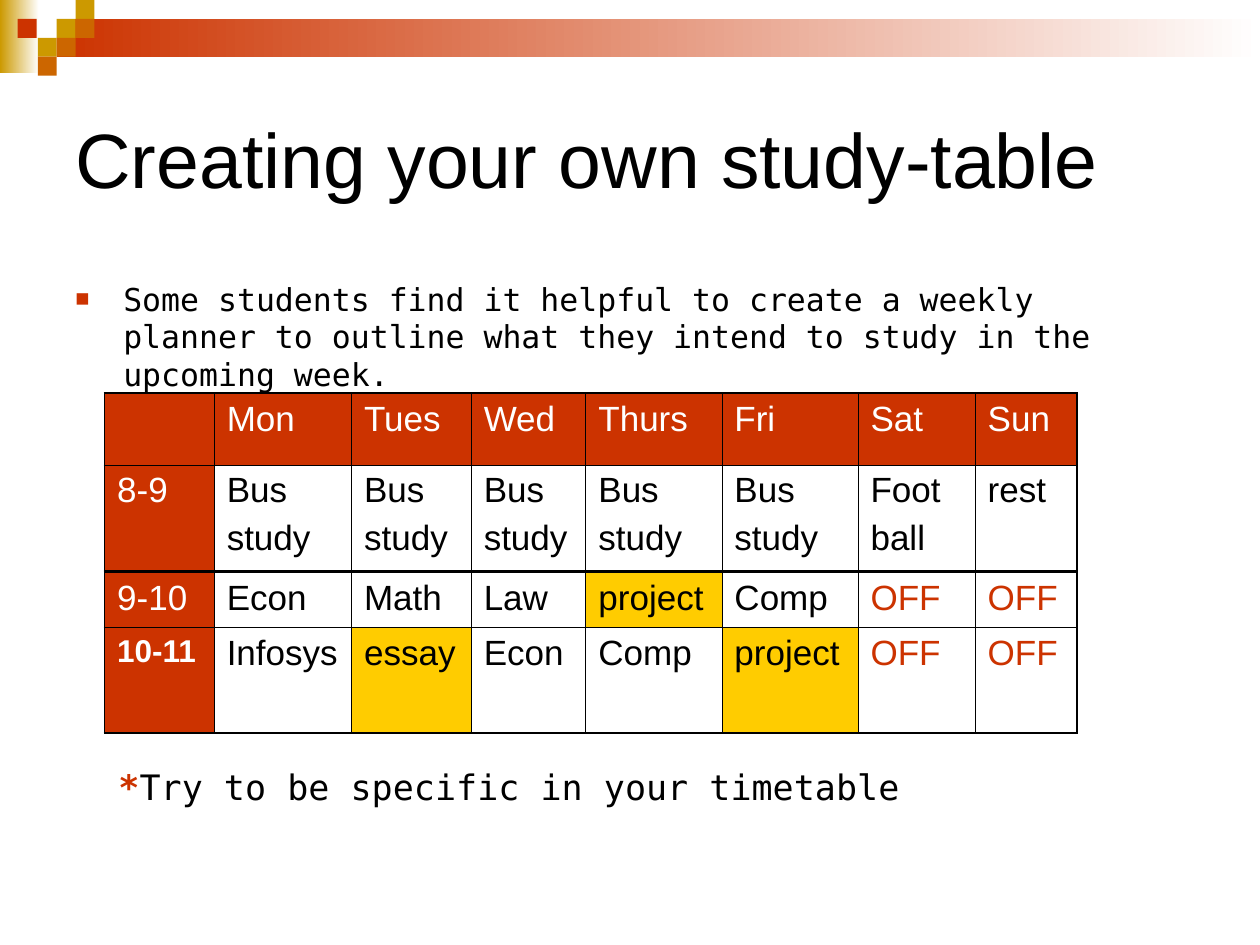
"""Build the slide on creating a weekly study table."""
from lxml import etree
from pptx import Presentation
from pptx import util as u
from pptx.dml.color import RGBColor
from pptx.enum import shapes, text
from pptx.oxml import ns

COLORS = {
    "red": "CC3300", "gold": "CC9900", "orange": "CC6600",
    "yellow": "FFCC00", "black": "000000", "white": "FFFFFF",
}
SANS, MONO = "Arial", "DejaVu Sans Mono"
SQUARE = 0.15
SQUARES = [
    (0.45, 0.15, "gold"), (0.6, 0, "gold"), (0.6, 0.15, "orange"),
    (0.3, 0.3, "gold"), (0.14, 0.15, "red"), (0.45, 0.3, "orange"),
    (0.3, 0.45, "orange"),
]
COLUMNS = [0.87, 1.09, 0.95, 0.91, 1.08, 1.08, 0.93, 0.81]
MORNING = [
    ["", "Mon", "Tues", "Wed", "Thurs", "Fri", "Sat", "Sun"],
    ["8-9"] + ["Bus\nstudy"] * 5 + ["Foot\nball", "rest"],
]
LATER = [
    ["9-10", "Econ", "Math", "Law", "project", "Comp", "OFF", "OFF"],
    ["10-11", "Infosys", "essay", "Econ", "Comp", "project", "OFF", "OFF"],
]
DEADLINES = {"project", "essay"}


def rgb(name):
    return RGBColor.from_string(COLORS[name])


def add_run(p, words, size, font, color="black", bold=False):
    r = p.add_run()
    r.text = words
    r.font.size = u.Pt(size)
    r.font.name = font
    r.font.bold = bold
    r.font.color.rgb = rgb(color)


def add_rect(s, left, top, width, height, color, fade=False):
    sp = s.shapes.add_shape(
        shapes.MSO_SHAPE.RECTANGLE, u.Inches(left), u.Inches(top),
        u.Inches(width), u.Inches(height))
    sp.shadow.inherit = False
    sp.line.fill.background()
    if fade:
        sp.fill.gradient()
        sp.fill.gradient_angle = 0
        for stop, name in zip(sp.fill.gradient_stops, (color, "white")):
            stop.color.rgb = rgb(name)
    else:
        sp.fill.solid()
        sp.fill.fore_color.rgb = rgb(color)


def add_text(s, left, top, width, height, anchor=text.MSO_ANCHOR.TOP):
    sp = s.shapes.add_textbox(
        u.Inches(left), u.Inches(top), u.Inches(width), u.Inches(height))
    tf = sp.text_frame
    tf.word_wrap = True
    tf.vertical_anchor = anchor
    return tf


def add_bullet(p, char, color, percent, indent):
    pPr = p._p.get_or_add_pPr()
    pPr.set("marL", str(u.Inches(indent)))
    pPr.set("indent", str(-u.Inches(indent)))
    clr = etree.SubElement(pPr, ns.qn("a:buClr"))
    etree.SubElement(clr, ns.qn("a:srgbClr"), val=COLORS[color])
    etree.SubElement(pPr, ns.qn("a:buSzPct"), val=str(percent * 1000))
    etree.SubElement(pPr, ns.qn("a:buFont"), typeface=SANS)
    etree.SubElement(pPr, ns.qn("a:buChar"), char=char)


def set_borders(cell, outer):
    tcPr = cell._tc.get_or_add_tcPr()
    for i, side in enumerate("LRTB"):
        width = u.Pt(1.08 if side in outer else 0.45)
        ln = etree.Element(ns.qn(f"a:ln{side}"), w=str(width))
        fill = etree.SubElement(ln, ns.qn("a:solidFill"))
        etree.SubElement(fill, ns.qn("a:srgbClr"), val=COLORS["black"])
        tcPr.insert(i, ln)


def fill_cell(cell, words, heading):
    cell.fill.solid()
    fill = "red" if heading else "yellow" if words in DEADLINES else "white"
    cell.fill.fore_color.rgb = rgb(fill)
    color = "white" if heading else "red" if words == "OFF" else "black"
    bold = words == "10-11"
    tf = cell.text_frame
    for i, line in enumerate(words.split("\n") if words else []):
        p = tf.add_paragraph() if i else tf.paragraphs[0]
        if i:
            p.space_before = u.Pt(5)
        add_run(p, line, 18 if bold else 20, SANS, color, bold)


def add_timetable(s, top, heights, rows, header):
    last_row, last_col = len(rows) - 1, len(COLUMNS) - 1
    table = s.shapes.add_table(
        len(rows), len(COLUMNS), u.Inches(0.83), u.Inches(top),
        u.Inches(sum(COLUMNS)), u.Inches(sum(heights))).table
    table.first_row = header
    table.horz_banding = False
    for column, width in zip(table.columns, COLUMNS):
        column.width = u.Inches(width)
    for i, row in enumerate(rows):
        table.rows[i].height = u.Inches(heights[i])
        for j, words in enumerate(row):
            cell = table.cell(i, j)
            fill_cell(cell, words, j == 0 or (header and i == 0))
            edges = {"L": j == 0, "R": j == last_col,
                     "T": i == 0, "B": i == last_row}
            set_borders(cell, {side for side in edges if edges[side]})


def main():
    prs = Presentation()
    prs.slide_width, prs.slide_height = u.Inches(10), u.Inches(7.5)
    s = prs.slides.add_slide(prs.slide_layouts[6])

    add_rect(s, 0, 0, 0.31, 0.58, "gold", fade=True)
    add_rect(s, 0.45, 0.15, 9.55, 0.3, "red", fade=True)
    for left, top, color in SQUARES:
        add_rect(s, left, top, SQUARE, SQUARE, color)

    tf = add_text(s, 0.5, 0.5, 9, 1.5, text.MSO_ANCHOR.MIDDLE)
    add_run(tf.paragraphs[0], "Creating your own study-table", 44, SANS)

    p = add_text(s, 0.5, 2.17, 8.28, 4.25).paragraphs[0]
    add_bullet(p, "■", "red", 75, 0.38)
    add_run(p, "Some students find it helpful to create a weekly planner to "
            "outline what they intend to study in the upcoming week.", 18, MONO)

    add_timetable(s, 3.12, [0.57, 0.84], MORNING, header=True)
    add_timetable(s, 4.54, [0.44, 0.84], LATER, header=False)

    tf = add_text(s, 0.67, 6.03, 8.58, 0.94)
    tf.margin_left = u.Inches(0.27)
    p = tf.paragraphs[0]
    add_run(p, "*", 20, MONO, "red", bold=True)
    add_run(p, "Try to be specific in your timetable", 20, MONO)

    prs.save("out.pptx")


if __name__ == "__main__":
    main()
